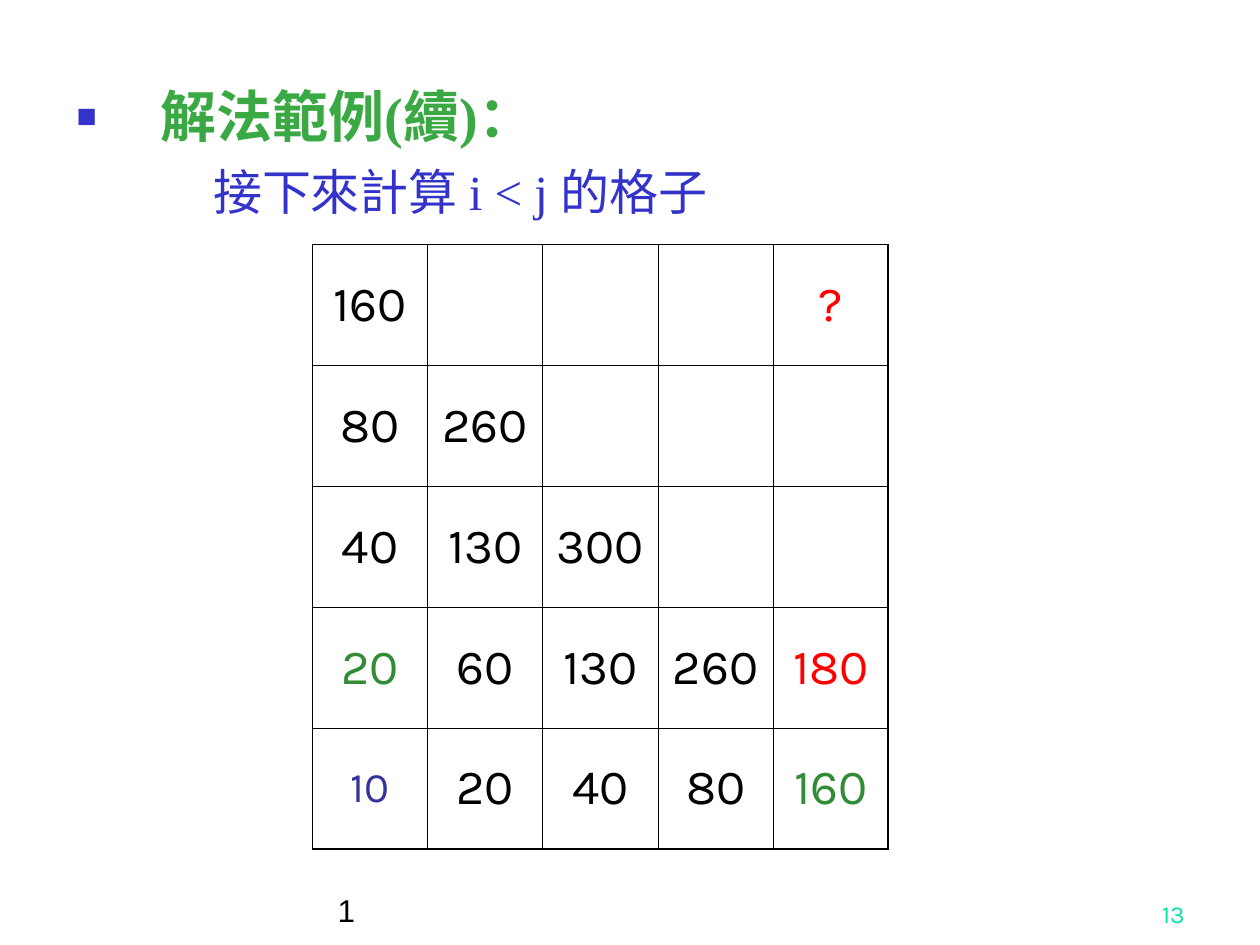
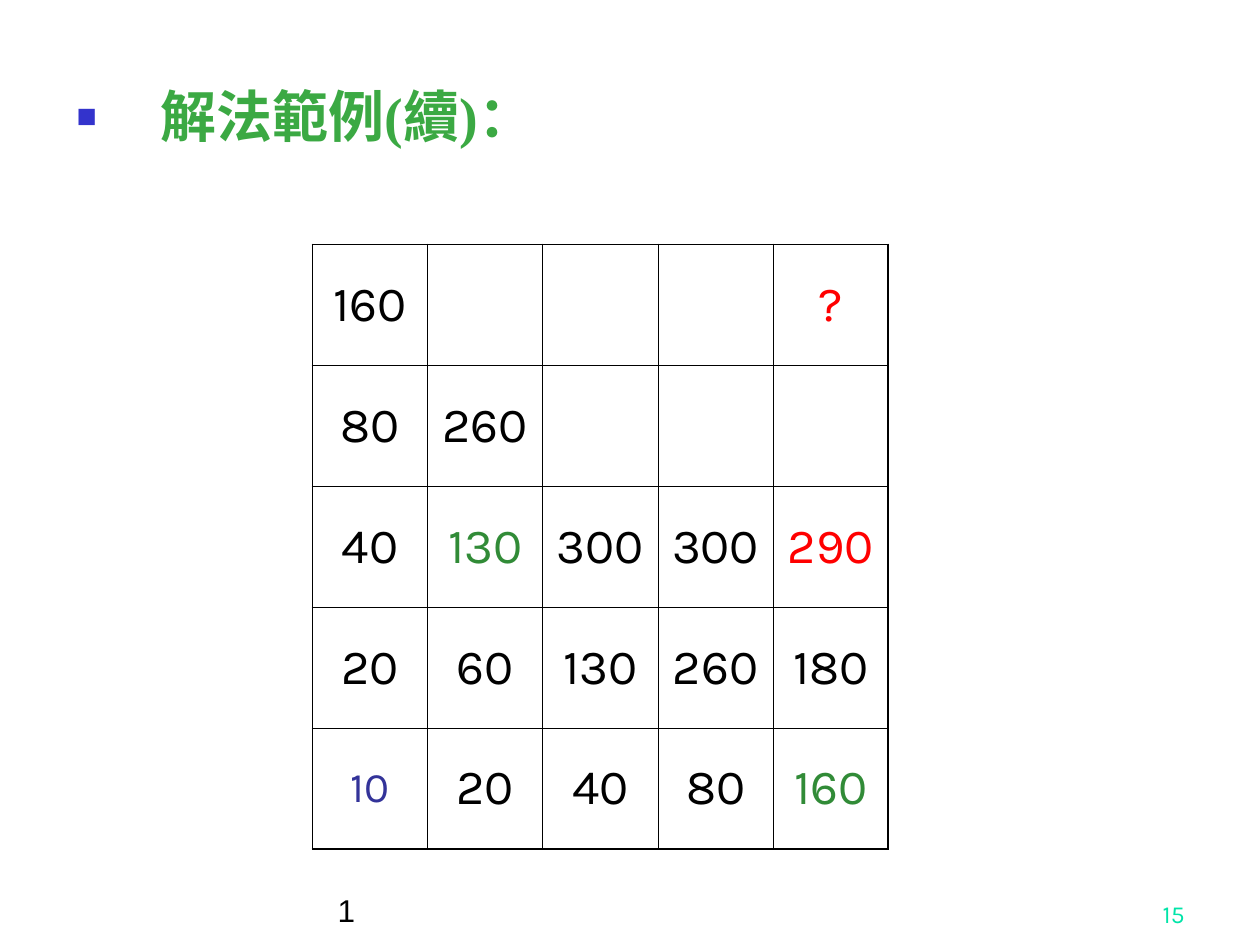
from dataclasses import dataclass

from lxml import etree
from pptx import Presentation
from pptx.dml.color import RGBColor
from pptx.enum import text
from pptx.oxml import ns
from pptx.util import Pt


@dataclass(frozen=True)
class Theme:
    black: str = "000000"
    heading: str = "3BA943"
    blue: str = "3333CC"
    unknown: str = "FF0000"
    operand: str = "318B37"
    base: str = "333399"
    page: str = "00E4A8"
    serif: str = "Times New Roman"
    sans: str = "Arial"
    numbers: str = "Karla"
    heading_size: int = 32
    body_size: int = 28
    base_size: int = 24
    mark_size: int = 18
    page_size: int = 14
    inner_line: float = 0.45
    outer_line: float = 1.08


def add_element(parent, tag, index=None, **attributes):
    element = etree.Element(ns.qn(tag), attributes)
    parent.insert(len(parent) if index is None else index, element)
    return element


class Deck:
    def __init__(self, theme):
        self.theme = theme
        self.presentation = Presentation()
        self.presentation.slide_width = Pt(720)
        self.presentation.slide_height = Pt(540)
        self.slide = None

    def new_slide(self):
        layout = self.presentation.slide_layouts[6]
        self.slide = self.presentation.slides.add_slide(layout)

    def style(self, paragraph, size, name, color, bold=False):
        font = paragraph.font
        font.size, font.name, font.bold = Pt(size), name, bold
        font.color.rgb = RGBColor.from_string(color)

    def text_frame(self, left, top, width, height, anchor):
        box = self.slide.shapes.add_textbox(Pt(left), Pt(top), Pt(width), Pt(height))
        frame = box.text_frame
        frame.word_wrap = True
        frame.vertical_anchor = anchor
        return frame

    def outline(self, heading, detail):
        theme = self.theme
        frame = self.text_frame(36.7, 43.2, 646.6, 459.4, text.MSO_ANCHOR.TOP)

        # Heading with a square bullet
        paragraph = frame.paragraphs[0]
        paragraph.text = heading
        properties = paragraph._p.get_or_add_pPr()
        properties.set("marL", str(Pt(48)))
        properties.set("indent", str(Pt(-48)))
        color = add_element(properties, "a:buClr")
        add_element(color, "a:srgbClr", val=theme.blue)
        add_element(properties, "a:buSzPct", val="60000")
        add_element(properties, "a:buFont", typeface=theme.sans)
        add_element(properties, "a:buChar", char="■")
        self.style(paragraph, theme.heading_size, theme.serif, theme.heading, True)

        # Indented detail line
        if detail:
            paragraph = frame.add_paragraph()
            paragraph.text = detail
            paragraph.space_before = Pt(7)
            paragraph._p.get_or_add_pPr().set("marL", str(Pt(78)))
            self.style(paragraph, theme.body_size, theme.serif, theme.blue)

    def borders(self, cell, row, column, last):
        theme = self.theme
        properties = cell._tc.get_or_add_tcPr()
        outer_sides = (column == 0, column == last, row == 0, row == last)
        for index, (side, outer) in enumerate(zip("LRTB", outer_sides)):
            width = theme.outer_line if outer else theme.inner_line
            line = add_element(properties, f"a:ln{side}", index, w=str(Pt(width)))
            fill = add_element(line, "a:solidFill")
            add_element(fill, "a:srgbClr", val=theme.black)

    def grid(self, values, highlights):
        theme = self.theme
        count = len(values)
        table = self.slide.shapes.add_table(
            count, count, Pt(178.6), Pt(139.7), Pt(329), Pt(345.6)).table
        table.first_row = table.horz_banding = False
        for row, row_values in enumerate(values):
            for column, value in enumerate(row_values):
                cell = table.cell(row, column)
                cell.fill.background()
                self.borders(cell, row, column, count - 1)
                cell.vertical_anchor = text.MSO_ANCHOR.MIDDLE
                paragraph = cell.text_frame.paragraphs[0]
                paragraph.text = value
                paragraph.alignment = text.PP_ALIGN.CENTER
                color = highlights.get((row, column), theme.black)
                size = theme.base_size if color == theme.base else theme.body_size
                self.style(paragraph, size, theme.numbers, color)

    def footer(self, left, width, words, alignment, *font):
        frame = self.text_frame(left, 498.2, width, 36, text.MSO_ANCHOR.BOTTOM)
        paragraph = frame.paragraphs[0]
        paragraph.text = words
        paragraph.alignment = alignment
        self.style(paragraph, *font)

    def step(self, page, detail, values, highlights):
        theme = self.theme
        self.new_slide()
        self.outline("解法範例(續)：", detail)
        self.grid(values, COMMON_HIGHLIGHTS | highlights)
        self.footer(185.8, 390.2, "1", text.PP_ALIGN.LEFT,
                    theme.mark_size, theme.sans, theme.black)
        self.footer(534.2, 149.8, page, text.PP_ALIGN.RIGHT,
                    theme.page_size, theme.numbers, theme.page)


THEME = Theme()

# Cells marked on every step, as (row, column)
COMMON_HIGHLIGHTS = {(0, 4): THEME.unknown, (4, 0): THEME.base, (4, 4): THEME.operand}

# Grid rows shared by the steps
TOP_ROWS = [["160", "", "", "", "?"], ["80", "260", "", "", ""]]
BOTTOM_ROWS = [["20", "60", "130", "260", "180"], ["10", "20", "40", "80", "160"]]


def main():
    deck = Deck(THEME)

    # Second row from the bottom is filled
    deck.step("13", "接下來計算 i < j 的格子",
              TOP_ROWS + [["40", "130", "300", "", ""]] + BOTTOM_ROWS,
              {(3, 0): THEME.operand, (3, 4): THEME.unknown})

    # Middle row is filled
    deck.step("15", None,
              TOP_ROWS + [["40", "130", "300", "300", "290"]] + BOTTOM_ROWS,
              {(2, 1): THEME.operand, (2, 4): THEME.unknown})

    deck.presentation.save("out.pptx")


if __name__ == "__main__":
    main()
